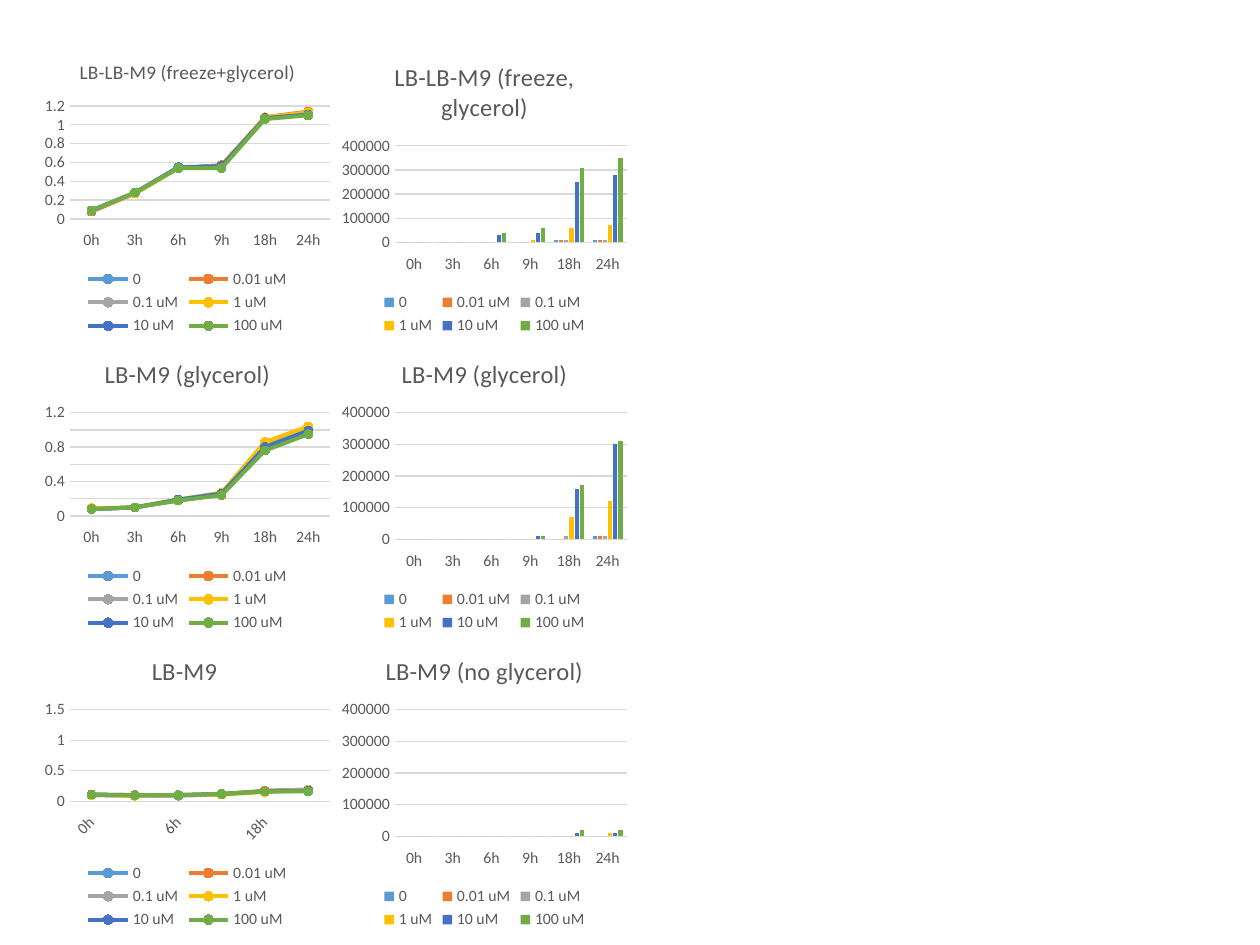
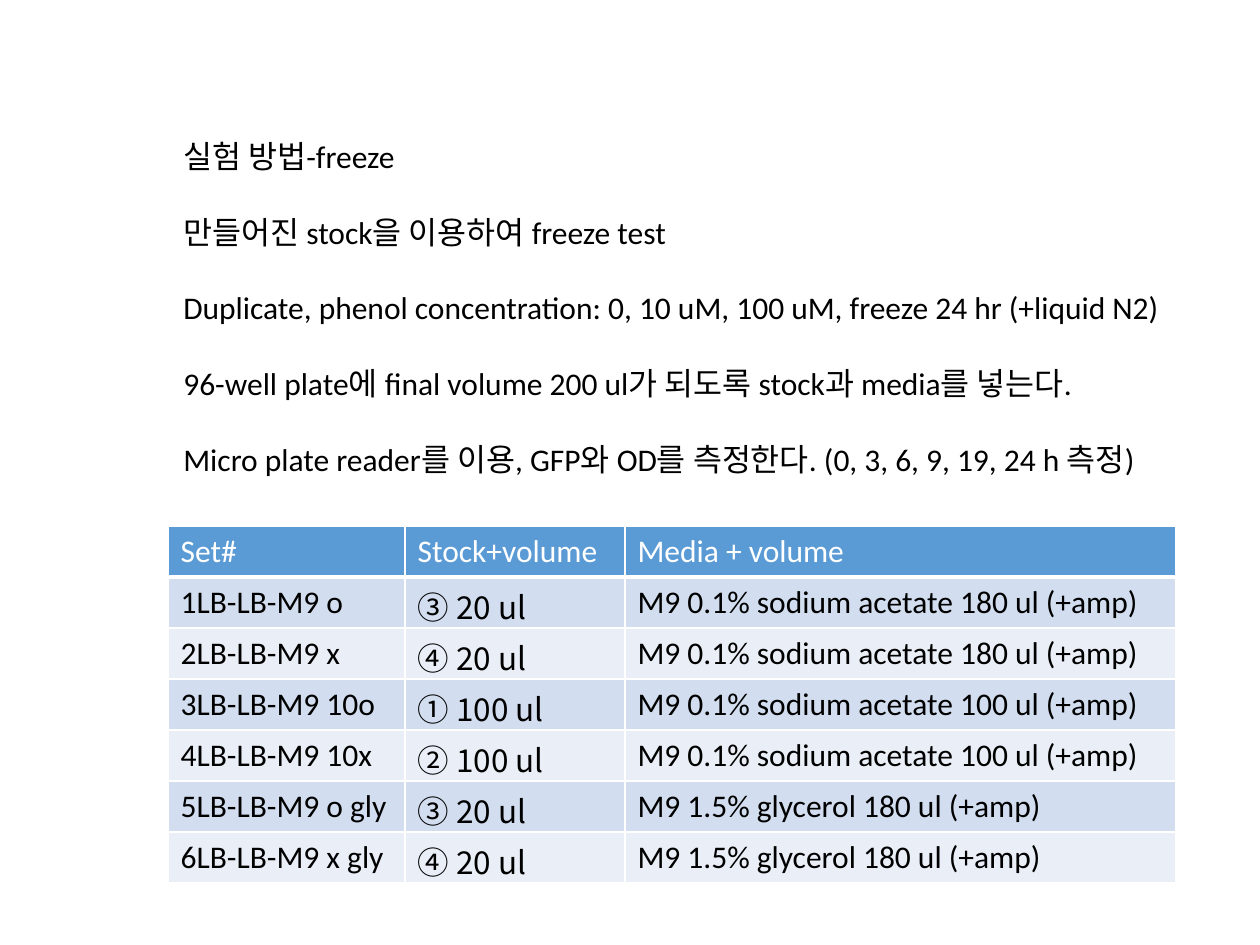
"""Build two slides: growth and fluorescence charts, then the freeze test method."""
import dataclasses

import lxml.etree
import pptx
import pptx.chart.data
import pptx.dml.color
import pptx.enum.chart
import pptx.oxml.ns
import pptx.util

HOURS = ["0h", "3h", "6h", "9h", "18h", "24h"]
DOSES = ["0", "0.01 uM", "0.1 uM", "1 uM", "10 uM", "100 uM"]

GROWTH = [
    {"title": "LB-LB-M9 (freeze+glycerol)", "title_size": 11, "values": [
        [0.08, 0.27, 0.54, 0.57, 1.07, 1.12],
        [0.08, 0.27, 0.54, 0.57, 1.08, 1.14],
        [0.09, 0.27, 0.54, 0.56, 1.07, 1.12],
        [0.09, 0.27, 0.54, 0.56, 1.08, 1.13],
        [0.09, 0.28, 0.55, 0.56, 1.07, 1.11],
        [0.09, 0.28, 0.54, 0.54, 1.06, 1.1]]},
    {"title": "LB-M9 (glycerol)", "values": [
        [0.08, 0.1, 0.18, 0.25, 0.85, 1.02],
        [0.08, 0.1, 0.18, 0.25, 0.84, 1.01],
        [0.08, 0.1, 0.19, 0.27, 0.85, 1.03],
        [0.09, 0.1, 0.19, 0.27, 0.86, 1.04],
        [0.08, 0.1, 0.19, 0.26, 0.8, 0.99],
        [0.08, 0.1, 0.18, 0.24, 0.76, 0.95]]},
    {"title": "LB-M9 ", "max": 1.5, "values": [
        [0.1, 0.09, 0.1, 0.11, 0.17, 0.19],
        [0.11, 0.09, 0.1, 0.12, 0.17, 0.19],
        [0.1, 0.09, 0.09, 0.11, 0.16, 0.19],
        [0.1, 0.09, 0.1, 0.11, 0.15, 0.18],
        [0.11, 0.1, 0.1, 0.12, 0.16, 0.17],
        [0.11, 0.1, 0.1, 0.12, 0.16, 0.16]]},
]

FLUORESCENCE = [
    {"title": "LB-LB-M9 (freeze, glycerol)", "values": [
        [0, 0, 0, 0, 10000, 10000],
        [0, 0, 0, 0, 10000, 10000],
        [0, 0, 0, 0, 10000, 10000],
        [0, 0, 0, 10000, 60000, 70000],
        [0, 0, 30000, 40000, 250000, 280000],
        [0, 0, 40000, 60000, 310000, 350000]]},
    {"title": "LB-M9 (glycerol)", "min": 0, "max": 400000, "values": [
        [0, 0, 0, 0, 0, 10000],
        [0, 0, 0, 0, 0, 10000],
        [0, 0, 0, 0, 10000, 10000],
        [0, 0, 0, 0, 70000, 120000],
        [0, 0, 0, 10000, 160000, 300000],
        [0, 0, 0, 10000, 170000, 310000]]},
    {"title": "LB-M9 (no glycerol)", "min": 0, "max": 400000, "values": [
        [0, 0, 0, 0, 0, 0],
        [0, 0, 0, 0, 0, 0],
        [0, 0, 0, 0, 0, 0],
        [0, 0, 0, 0, 0, 10000],
        [0, 0, 0, 0, 10000, 10000],
        [0, 0, 0, 0, 20000, 20000]]},
]

METHOD = [
    "실험 방법-freeze",
    "만들어진 stock을 이용하여 freeze test",
    "Duplicate, phenol concentration: 0, 10 uM, 100 uM, freeze 24 hr (+liquid N2)",
    "96-well plate에 final volume 200 ul가 되도록 stock과 media를 넣는다.",
    "Micro plate reader를 이용, GFP와 OD를 측정한다. (0, 3, 6, 9, 19, 24 h 측정)",
]

SETS = [
    ("Set#", "Stock+volume", "Media + volume"),
    ("1LB-LB-M9 o", "③ 20 ul", "M9 0.1% sodium acetate 180 ul (+amp)"),
    ("2LB-LB-M9 x", "④ 20 ul", "M9 0.1% sodium acetate 180 ul (+amp)"),
    ("3LB-LB-M9 10o", "① 100 ul", "M9 0.1% sodium acetate 100 ul (+amp)"),
    ("4LB-LB-M9 10x", "② 100 ul", "M9 0.1% sodium acetate 100 ul (+amp)"),
    ("5LB-LB-M9 o gly", "③ 20 ul", "M9 1.5% glycerol 180 ul (+amp)"),
    ("6LB-LB-M9 x gly", "④ 20 ul", "M9 1.5% glycerol 180 ul (+amp)"),
]

PX_PER_INCH = 126
CHART_LEFT, CHART_TOP, CHART_SIDE = 39, 43, 297
METHOD_BOX = (171, 131, 1007, 357)
TABLE_LEFT, TABLE_TOP, ROW_HEIGHT = 168, 526, 51
COLUMN_WIDTHS = (237, 220, 551)


@dataclasses.dataclass(frozen=True)
class Theme:
    """Colours, fonts and type sizes."""
    series: tuple = ("5B9BD5", "ED7D31", "A5A5A5", "FFC000", "4472C4", "70AD47")
    label: str = "595959"
    rule: str = "D9D9D9"
    ink: str = "000000"
    white: str = "FFFFFF"
    header: str = "5B9BD5"
    bands: tuple = ("D2DEEF", "EAEFF7")
    font: str = "Calibri"
    asian_font: str = "Noto Sans CJK KR"
    title: int = 14
    axis: int = 9
    body: int = 18
    gap: float = 21.6


THEME = Theme()


def px(n):
    """Turn pixels into EMU."""
    return pptx.util.Emu(round(n * 914400 / PX_PER_INCH))


def rgb(color):
    """Return a colour object."""
    return pptx.dml.color.RGBColor.from_string(color)


def style_font(font, size, color, name=THEME.font):
    """Set face, size and colour."""
    font.name, font.size, font.bold = name, pptx.util.Pt(size), False
    font.color.rgb = rgb(color)


def style_line(line, color, width):
    """Set colour and width of a line."""
    line.color.rgb = rgb(color)
    line.width = pptx.util.Pt(width)


def add_run(p, text, color, name=THEME.font):
    """Add a body run with an East Asian face."""
    r = p.add_run()
    r.text = text
    style_font(r.font, THEME.body, color, name)
    latin = r.font._element.find(pptx.oxml.ns.qn("a:latin"))
    ea = lxml.etree.Element(pptx.oxml.ns.qn("a:ea"), typeface=THEME.asian_font)
    latin.addnext(ea)


def style_axes(chart, panel):
    """Style both axes and the gridlines."""
    for axis in (chart.category_axis, chart.value_axis):
        axis.major_tick_mark = axis.minor_tick_mark = pptx.enum.chart.XL_TICK_MARK.NONE
        style_font(axis.tick_labels.font, THEME.axis, THEME.label)
    chart.category_axis.tick_label_position = pptx.enum.chart.XL_TICK_LABEL_POSITION.LOW
    style_line(chart.category_axis.format.line, THEME.rule, 0.75)
    values = chart.value_axis
    values.format.line.fill.background()
    values.has_major_gridlines = True
    style_line(values.major_gridlines.format.line, THEME.rule, 0.75)
    if "min" in panel:
        values.minimum_scale = panel["min"]
    if "max" in panel:
        values.maximum_scale = panel["max"]


def style_line_series(series, color):
    """Style a line and its round markers."""
    series.smooth = False
    style_line(series.format.line, color, 2.25)
    series.marker.style = pptx.enum.chart.XL_MARKER_STYLE.CIRCLE
    series.marker.size = 5
    series.marker.format.fill.solid()
    series.marker.format.fill.fore_color.rgb = rgb(color)
    style_line(series.marker.format.line, color, 0.75)


def style_column_series(series, color):
    """Fill the columns."""
    series.format.fill.solid()
    series.format.fill.fore_color.rgb = rgb(color)


def add_panel(s, panel, kind, style_series, column, row):
    """Add one chart at its place in the grid."""
    data = pptx.chart.data.CategoryChartData()
    data.categories = HOURS
    for dose, values in zip(DOSES, panel["values"]):
        data.add_series(dose, values)
    left, top = CHART_LEFT + column * CHART_SIDE, CHART_TOP + row * CHART_SIDE
    chart = s.shapes.add_chart(
        kind, px(left), px(top), px(CHART_SIDE), px(CHART_SIDE), data).chart
    style_font(chart.font, 10, THEME.ink)
    chart.has_title = True
    r = chart.chart_title.text_frame.paragraphs[0].add_run()
    r.text = panel["title"]
    style_font(r.font, panel.get("title_size", THEME.title), THEME.label)
    chart.chart_title.include_in_layout = False
    chart.has_legend = True
    chart.legend.position = pptx.enum.chart.XL_LEGEND_POSITION.BOTTOM
    chart.legend.include_in_layout = False
    style_font(chart.legend.font, THEME.axis, THEME.label)
    style_axes(chart, panel)
    plot = chart.plots[0]
    plot.vary_by_categories = False
    for series, color in zip(plot.series, THEME.series):
        style_series(series, color)
    return plot


def add_charts(s):
    """Fill one column with line charts and one with column charts."""
    types = pptx.enum.chart.XL_CHART_TYPE
    for row, panel in enumerate(GROWTH):
        add_panel(s, panel, types.LINE_MARKERS, style_line_series, 0, row)
    for row, panel in enumerate(FLUORESCENCE):
        plot = add_panel(s, panel, types.COLUMN_CLUSTERED, style_column_series, 1, row)
        plot.gap_width, plot.overlap = 219, -27


def add_method(s):
    """Add the steps of the method."""
    tf = s.shapes.add_textbox(*map(px, METHOD_BOX)).text_frame
    tf.word_wrap = True
    for i, step in enumerate(METHOD):
        p = tf.paragraphs[0] if i == 0 else tf.add_paragraph()
        if i < len(METHOD) - 1:
            p.space_after = pptx.util.Pt(THEME.gap)
        add_run(p, step, THEME.ink)


def add_borders(cell, bottom):
    """Draw white borders round a cell."""
    tc_pr = cell._tc.get_or_add_tcPr()
    for i, (side, width) in enumerate((("L", 1), ("R", 1), ("T", 1), ("B", bottom))):
        ln = lxml.etree.Element(pptx.oxml.ns.qn(f"a:ln{side}"), w=str(pptx.util.Pt(width)))
        fill = lxml.etree.SubElement(ln, pptx.oxml.ns.qn("a:solidFill"))
        lxml.etree.SubElement(fill, pptx.oxml.ns.qn("a:srgbClr"), val=THEME.white)
        tc_pr.insert(i, ln)


def add_sets(s):
    """Add the table of sets."""
    table = s.shapes.add_table(
        len(SETS), len(COLUMN_WIDTHS), px(TABLE_LEFT), px(TABLE_TOP),
        px(sum(COLUMN_WIDTHS)), px(ROW_HEIGHT * len(SETS))).table
    for column, width in zip(table.columns, COLUMN_WIDTHS):
        column.width = px(width)
    for i, row in enumerate(SETS):
        is_header = i == 0
        for j, text in enumerate(row):
            cell = table.cell(i, j)
            cell.fill.solid()
            cell.fill.fore_color.rgb = rgb(THEME.header if is_header else THEME.bands[(i - 1) % 2])
            add_borders(cell, 3 if is_header else 1)
            name = THEME.asian_font if j == 1 and not is_header else THEME.font
            color = THEME.white if is_header else THEME.ink
            add_run(cell.text_frame.paragraphs[0], text, color, name)


def main():
    """Build and save the slides."""
    prs = pptx.Presentation()
    prs.slide_width, prs.slide_height = px(10 * PX_PER_INCH), px(7.5 * PX_PER_INCH)
    blank = prs.slide_layouts[6]
    add_charts(prs.slides.add_slide(blank))
    s = prs.slides.add_slide(blank)
    add_method(s)
    add_sets(s)
    prs.save("out.pptx")


if __name__ == "__main__":
    main()
